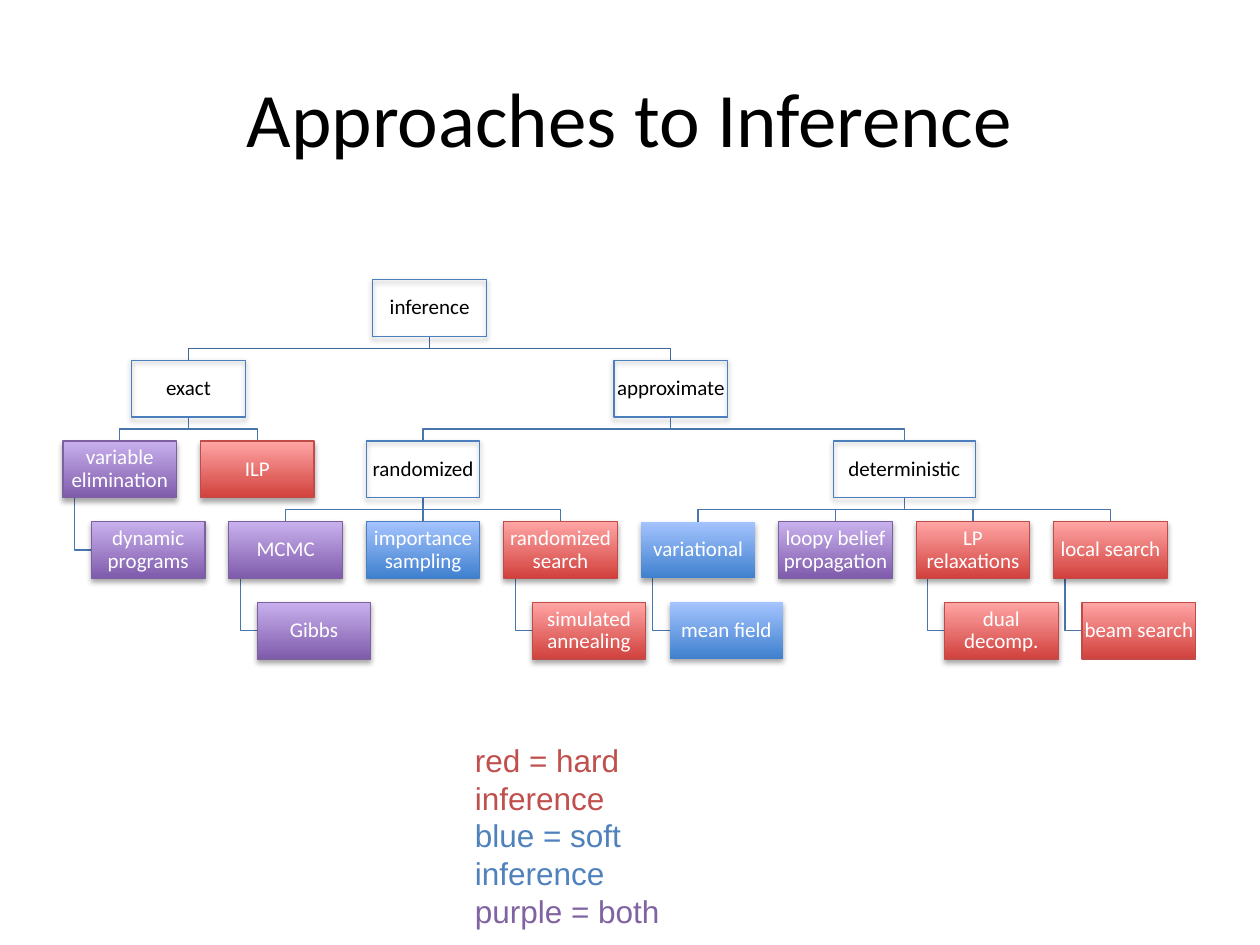
import pptx
import pptx.util
import pptx.dml.color
import pptx.enum.shapes
import pptx.enum.text
import lxml.etree
from pptx.oxml.ns import qn

# Content: (name, kind, children); a lone child hangs below its parent
TITLE = "Approaches to Inference"
TREE = ("inference", "plain", [
    ("exact", "plain", [
        ("variable elimination", "both", [("dynamic programs", "both", [])]),
        ("ILP", "hard", [])]),
    ("approximate", "plain", [
        ("randomized", "plain", [
            ("MCMC", "both", [("Gibbs", "both", [])]),
            ("importance sampling", "soft", []),
            ("randomized search", "hard", [("simulated annealing", "hard", [])])]),
        ("deterministic", "plain", [
            ("variational", "soft", [("mean field", "soft", [])]),
            ("loopy belief propagation", "both", []),
            ("LP relaxations", "hard", [("dual decomp.", "hard", [])]),
            ("local search", "hard", [("beam search", "hard", [])])])])])
LEGEND = [("red = hard inference", "red"), ("blue = soft inference", "blue"),
          ("purple = both", "purple")]
COLORS = {"black": "000000", "white": "FFFFFF", "root": "3F6797", "link": "4875AC",
          "plain": "4B7EBC", "soft": "4B7EBC", "hard": "BF4C48", "both": "7D60A0",
          "red": "C0504D", "blue": "4F81BD", "purple": "8064A2"}
FADES = {"soft": ("3F80CE", "A4C4FF"), "hard": ("D1403C", "FFA6A5"),
         "both": ("7F5BAB", "C8B0ED")}
NO_LINE = {"variational", "mean field"}
NO_SHADE = {"beam search"}
WIDE = {"deterministic": 1.25}

# Grid: all lengths follow from the box width
LEFT, TOP, SPAN = 0.5, 2.22, 8.99
W = SPAN / 9.97
H, GAP, ROW, HANG = W / 2, W * 0.21, W * 0.71, W * 0.25

inch, pt = pptx.util.Inches, pptx.util.Pt
align = pptx.enum.text.PP_ALIGN
anchor = pptx.enum.text.MSO_ANCHOR
deck = pptx.Presentation()
deck.slide_width, deck.slide_height = inch(10), inch(7.5)
slide = deck.slides.add_slide(deck.slide_layouts[6])
shapes = slide.shapes


def rgb(key):
    return pptx.dml.color.RGBColor.from_string(COLORS.get(key, key))


def add_text(area, lines, size, font, pad=None, side=align.CENTER,
             hold=anchor.MIDDLE, space=None):
    frame = shapes.add_textbox(*map(inch, area)).text_frame
    frame.word_wrap = True
    frame.vertical_anchor = hold
    if pad is not None:
        frame.margin_left = frame.margin_right = inch(pad)
        frame.margin_top = frame.margin_bottom = inch(pad)
    for i, (text, color) in enumerate(lines):
        para = frame.paragraphs[0] if i == 0 else frame.add_paragraph()
        para.alignment = side
        para.line_spacing = space
        run = para.add_run()
        run.text = text
        run.font.size, run.font.name = pt(size), font
        run.font.color.rgb = rgb(color)


def place(node, row, free, boxes, links, x=None):
    """Set a node after its children and return its left and right edges."""
    name, kind, kids = node
    width = W * WIDE.get(name, 1)
    spot = len(boxes)
    boxes.append(None)
    y = TOP + row * ROW
    if len(kids) > 1:
        edges = [place(kid, row + 1, free, boxes, links) for kid in kids]
        x = (edges[0][0] + edges[-1][1] - width) / 2
        mid, low, high = x + width / 2, y + H, y + ROW
        bend = (low + high) / 2
        for start, end in edges:
            goal = (start + end) / 2
            links.append(([(mid, low), (mid, bend), (goal, bend), (goal, high)],
                          "link" if row else "root"))
    elif x is None:
        x = free.get(row, LEFT)
    free[row] = x + width + GAP
    if len(kids) == 1:
        place(kids[0], row + 1, free, boxes, links, x + HANG)
        stem, turn = x + W * 0.1, y + ROW + H / 2
        links.append(([(stem, y + H), (stem, turn), (x + HANG, turn)], "link"))
    boxes[spot] = (name, kind, (x, y, width, H))
    return x, x + width


def add_link(points, color):
    dots = [(inch(x), inch(y)) for x, y in points]
    (x, y), (end, low) = dots[0], dots[-1]
    if abs(end - x) < inch(0.01):
        line = shapes.add_connector(pptx.enum.shapes.MSO_CONNECTOR.STRAIGHT,
                                    x, y, x, low)
        lxml.etree.SubElement(line._element.spPr, qn("a:effectLst"))
    else:
        form = shapes.build_freeform(x, y)
        form.add_line_segments(dots[1:], close=False)
        line = form.convert_to_shape()
        line.fill.background()
        line.shadow.inherit = False
    line.line.color.rgb = rgb(color)
    line.line.width = pt(0.75)


def add_shade(box, drop, alpha):
    effects = box._element.spPr.find(qn("a:effectLst"))
    outer = lxml.etree.SubElement(effects, qn("a:outerShdw"), blurRad="40000",
                                  dist=str(drop), dir="5400000", rotWithShape="0")
    tint = lxml.etree.SubElement(outer, qn("a:srgbClr"), val=COLORS["black"])
    lxml.etree.SubElement(tint, qn("a:alpha"), val=str(alpha * 1000))


def add_box(name, kind, area):
    box = shapes.add_shape(pptx.enum.shapes.MSO_SHAPE.RECTANGLE, *map(inch, area))
    plain = kind == "plain"
    if plain:
        box.fill.background()
    else:
        box.fill.gradient()
        box.fill.gradient_angle = 90
        for stop, color in zip(box.fill.gradient_stops, FADES[kind]):
            stop.color.rgb = rgb(color)
    if name in NO_LINE:
        box.line.fill.background()
    else:
        box.line.color.rgb = rgb(kind)
        box.line.width = pt(0.75)
    box.shadow.inherit = False
    if name not in NO_SHADE:
        add_shade(box, *((20000, 38) if plain else (23000, 35)))
    add_text(area, [(name, "black" if plain else "white")], 12, "Calibri",
             pad=0.01, space=0.9)


# Title
add_text((0.5, 0.3, 9, 1.25), [(TITLE, "black")], 44, "Calibri")

# Tree, links behind boxes
boxes, links = [], []
place(TREE, 0, {}, boxes, links)
for link in links:
    add_link(*link)
for box in boxes:
    add_box(*box)

# Legend
add_text((3.67, 5.83, 2.31, 1.01), LEGEND, 18, "Arial",
         side=align.LEFT, hold=anchor.TOP)

deck.save("out.pptx")
